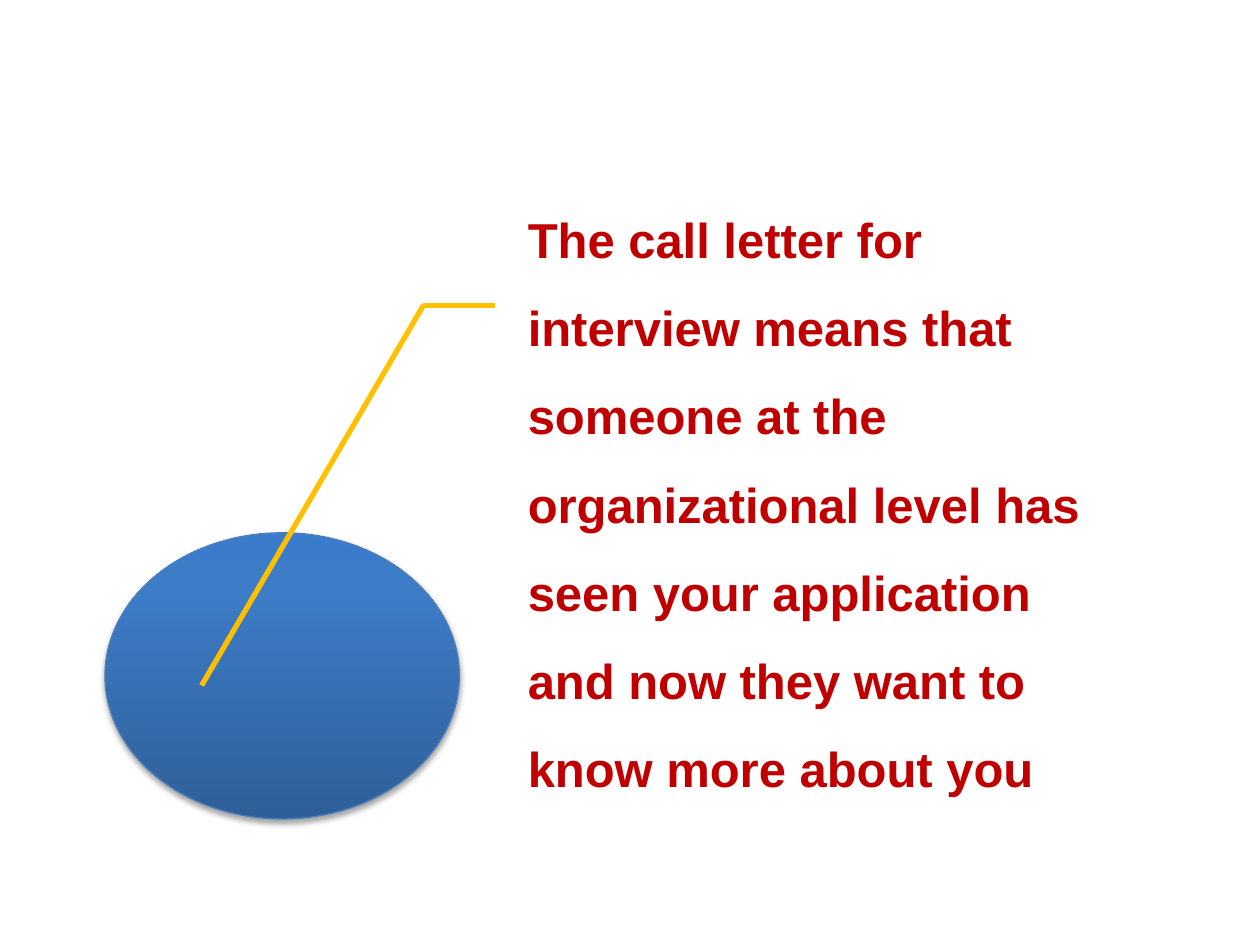
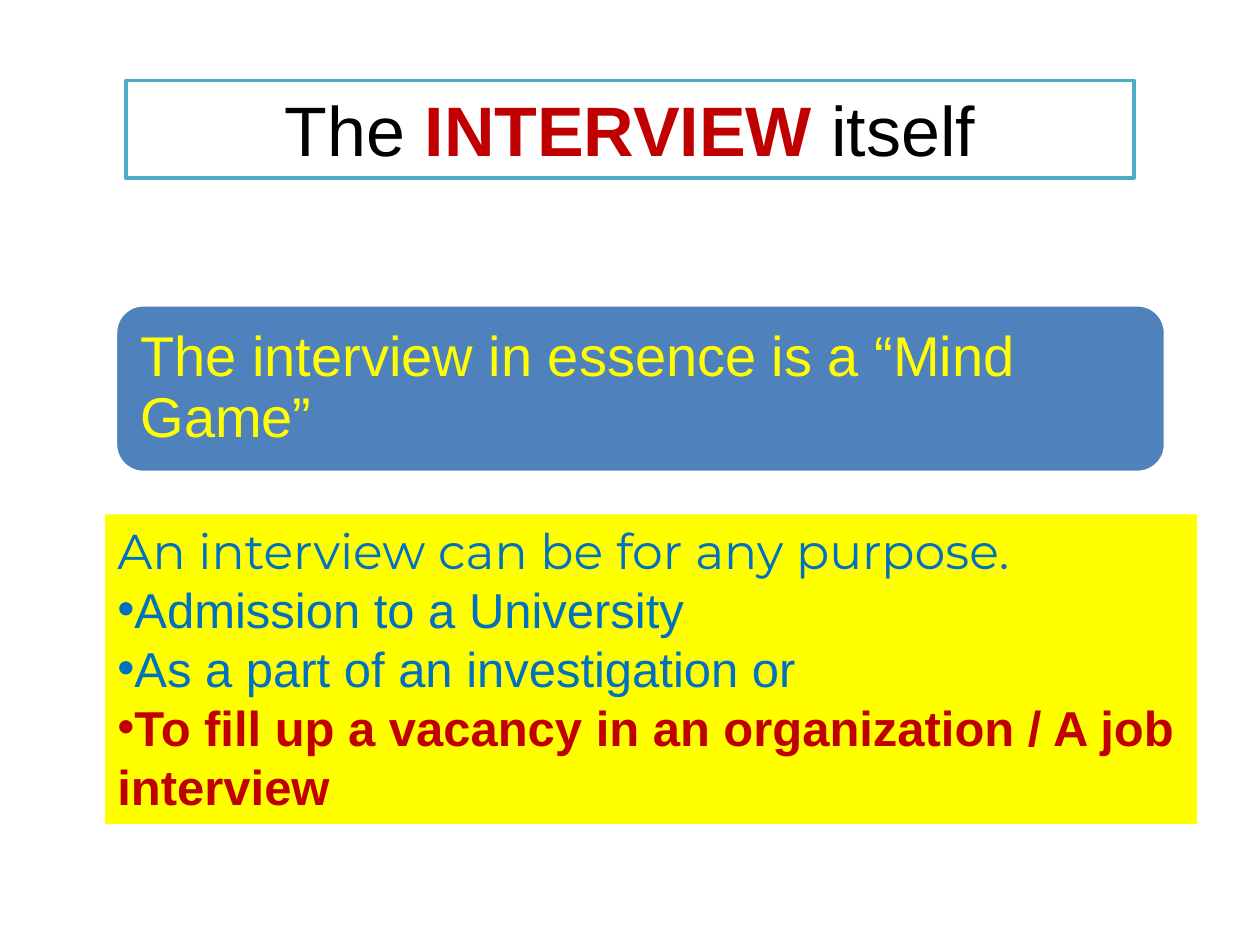
from dataclasses import dataclass

from lxml import etree
from pptx import Presentation
from pptx import util as u
from pptx.dml.color import RGBColor
from pptx.enum import shapes, text
from pptx.oxml import ns

CALL_LETTER = [[("The call letter for interview means that someone at the "
                 "organizational level has seen your application and now they "
                 "want to know more about you", {"bold": True})]]
TITLE = [[("The ", {"color": "000000"}),
          ("INTERVIEW", {"bold": True}),
          (" itself", {"color": "000000"})]]
ESSENCE = [[("The interview in essence is a “Mind Game”", {})]]
PURPOSES = [
    [("An interview can be for any purpose.", {"font": "Montserrat"})],
    [("Admission to a University", {})],
    [("As a part of an investigation or", {})],
    [("To fill up a vacancy in an organization / A job interview",
      {"bold": True, "color": "C00000"})],
]


@dataclass(frozen=True)
class Theme:
    font: str = "Arial"
    red: str = "C00000"
    blue: str = "0070C0"
    yellow: str = "FFFF00"
    white: str = "FFFFFF"
    band: str = "4F81BD"
    title_edge: str = "4BACC6"
    disc_edge: str = "4B7EBC"
    leader: str = "FFC000"
    disc_stops: tuple = ((0, "2F5F99"), (80, "3D7CC7"), (100, "3A7CCB"))
    body_size: int = 28
    band_size: int = 32
    title_size: int = 40


THEME = Theme()
SHAPE = shapes.MSO_SHAPE


def rgb(value):
    return RGBColor.from_string(value)


def add_xml(parent, tag, **attributes):
    return etree.SubElement(parent, ns.qn(tag), attributes)


def add_box(slide, kind, place, fill=None, edge=None, edge_width=2):
    shape = slide.shapes.add_shape(kind, *map(u.Pt, place))
    if fill:
        shape.fill.solid()
        shape.fill.fore_color.rgb = rgb(fill)
    if edge:
        shape.line.color.rgb = rgb(edge)
        shape.line.width = u.Pt(edge_width)
    else:
        shape.line.fill.background()
    shape.shadow.inherit = False
    return shape


def write(shape, paragraphs, size, color, align=text.PP_ALIGN.LEFT,
          anchor=text.MSO_ANCHOR.TOP, insets=(7.2, 3.6, 7.2, 3.6),
          line_spacing=None, space_after=None, bullets_from=None, grow=False):
    """Fill a shape with paragraphs, each a list of (words, run format)."""
    frame = shape.text_frame
    frame.word_wrap = True
    frame.vertical_anchor = anchor
    (frame.margin_left, frame.margin_top,
     frame.margin_right, frame.margin_bottom) = map(u.Pt, insets)
    frame.auto_size = (text.MSO_AUTO_SIZE.SHAPE_TO_FIT_TEXT if grow
                       else text.MSO_AUTO_SIZE.NONE)
    for index, runs in enumerate(paragraphs):
        paragraph = frame.add_paragraph() if index else frame.paragraphs[0]
        paragraph.alignment = align
        if line_spacing:
            paragraph.line_spacing = line_spacing
        if space_after:
            paragraph.space_after = u.Pt(space_after)
        if bullets_from is not None and index >= bullets_from:
            properties = paragraph._p.get_or_add_pPr()
            add_xml(properties, "a:buFont", typeface=THEME.font)
            add_xml(properties, "a:buChar", char="•")
        for words, style in runs:
            run = paragraph.add_run()
            run.text = words
            run.font.name = style.get("font", THEME.font)
            run.font.size = u.Pt(size)
            run.font.bold = style.get("bold", False)
            run.font.color.rgb = rgb(style.get("color", color))


def add_disc(slide, place):
    """Draw the ellipse with a vertical gradient and a soft shadow."""
    disc = add_box(slide, SHAPE.OVAL, place, edge=THEME.disc_edge, edge_width=0.75)
    disc.fill.gradient()
    disc.fill.gradient_angle = 90
    properties = disc._element.spPr
    stops = properties.find(".//" + ns.qn("a:gsLst"))
    for stop in list(stops):
        stops.remove(stop)
    for percent, color in THEME.disc_stops:
        stop = add_xml(stops, "a:gs", pos=str(percent * 1000))
        add_xml(stop, "a:srgbClr", val=color)
    shadow = add_xml(properties.find(ns.qn("a:effectLst")), "a:outerShdw",
                     blurRad=str(u.Pt(3.1)), dist=str(u.Pt(1.8)),
                     dir="5400000", rotWithShape="0")
    shadow_color = add_xml(shadow, "a:srgbClr", val="000000")
    add_xml(shadow_color, "a:alpha", val="35000")


def add_leader(slide, start, end):
    leader = slide.shapes.add_connector(
        shapes.MSO_CONNECTOR.STRAIGHT, *map(u.Pt, start + end))
    leader.line.color.rgb = rgb(THEME.leader)
    leader.line.width = u.Pt(3)
    add_xml(leader._element.spPr, "a:effectLst")


def build_call_letter(slide):
    add_disc(slide, (60, 304.5, 202.5, 163.5))
    message = slide.shapes.add_textbox(*map(u.Pt, (285.8, 104.4, 344.2, 350)))
    write(message, CALL_LETTER, THEME.body_size, THEME.red,
          anchor=text.MSO_ANCHOR.MIDDLE, insets=(15.8, 2.9, 2.9, 2.9),
          line_spacing=1.5, space_after=0.35 * THEME.body_size)
    elbow = (242, 174.4)
    for end in ((283, 174.4), (115.2, 391.7)):
        add_leader(slide, elbow, end)


def build_interview(slide):
    title = add_box(slide, SHAPE.RECTANGLE, (72, 46, 576, 55.7),
                    THEME.white, THEME.title_edge)
    write(title, TITLE, THEME.title_size, THEME.red,
          align=text.PP_ALIGN.CENTER, grow=True)

    band = add_box(slide, SHAPE.ROUNDED_RECTANGLE, (66, 174.2, 600, 95.8),
                   THEME.band, THEME.white)
    write(band, ESSENCE, THEME.band_size, THEME.yellow,
          anchor=text.MSO_ANCHOR.MIDDLE, insets=(9.6,) * 4,
          line_spacing=0.9, space_after=0.35 * THEME.band_size)

    panel = add_box(slide, SHAPE.RECTANGLE, (60, 294, 624, 177), THEME.yellow)
    write(panel, PURPOSES, THEME.body_size, THEME.blue, bullets_from=1, grow=True)


def main():
    presentation = Presentation()
    presentation.slide_width, presentation.slide_height = u.Pt(720), u.Pt(540)
    blank = presentation.slide_layouts[6]
    for build in (build_call_letter, build_interview):
        build(presentation.slides.add_slide(blank))
    presentation.save("out.pptx")


if __name__ == "__main__":
    main()
